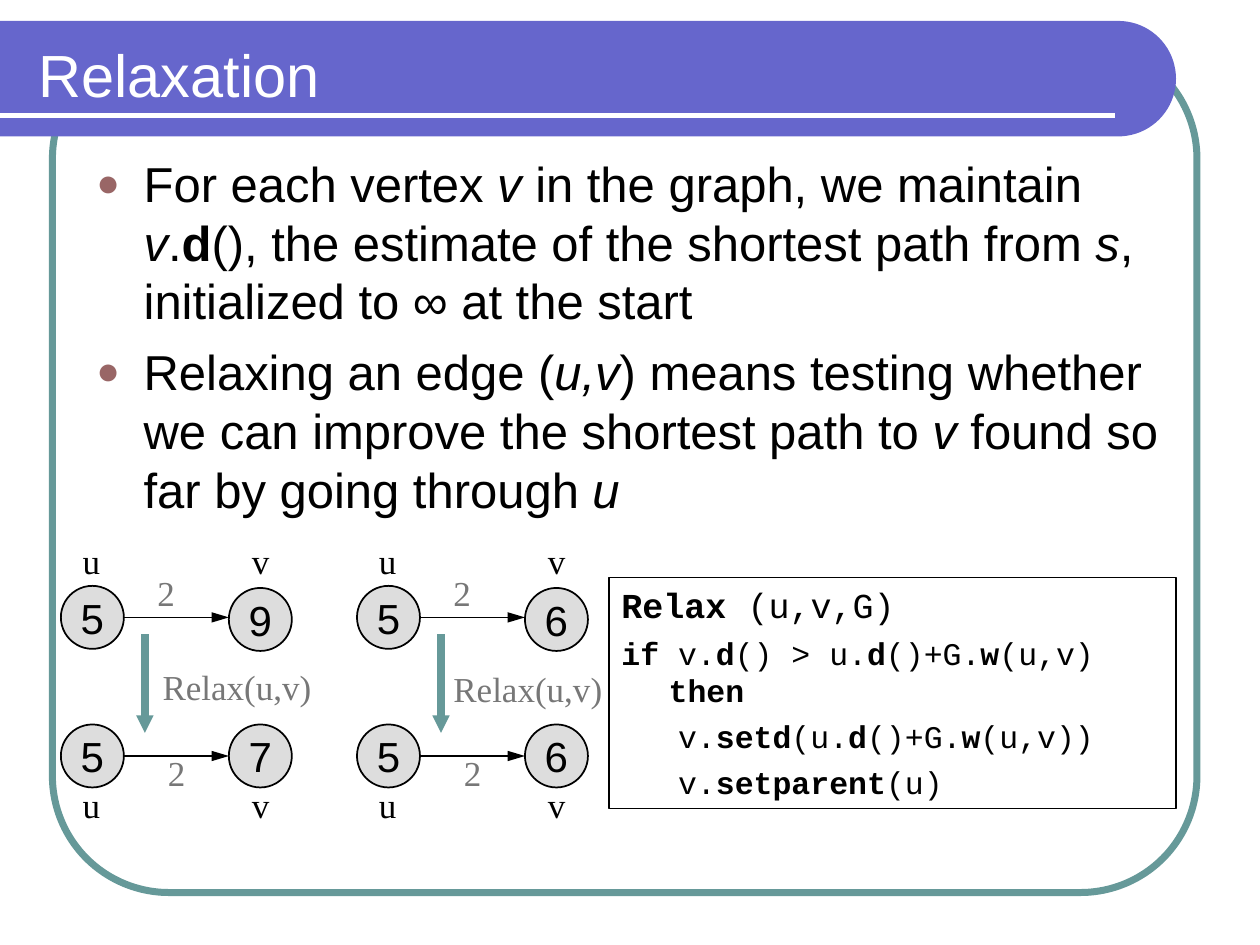
from math import cos, pi, sin

from lxml.etree import SubElement
from pptx import Presentation
from pptx.dml.color import RGBColor
from pptx.enum.shapes import MSO_CONNECTOR, MSO_SHAPE
from pptx.enum.text import MSO_ANCHOR, MSO_AUTO_SIZE, PP_ALIGN
from pptx.oxml.ns import qn
from pptx.util import Pt

PX = 7620  # 120 px to the inch
BLACK = RGBColor(0x00, 0x00, 0x00)
WHITE = RGBColor(0xFF, 0xFF, 0xFF)
GRAY = RGBColor(0x77, 0x77, 0x77)
NODE_FILL = RGBColor(0xDD, 0xDD, 0xDD)
TEAL = RGBColor(0x66, 0x99, 0x99)
PURPLE = RGBColor(0x66, 0x66, 0xCC)
BULLET = RGBColor(0x99, 0x66, 0x66)


def add_line(x1, y1, x2, y2, color, width, head=None):
    """Draw a straight line; head is the (width, length) of an arrowhead."""
    line = s.shapes.add_connector(
        MSO_CONNECTOR.STRAIGHT, x1 * PX, y1 * PX, x2 * PX, y2 * PX)
    line.line.color.rgb = color
    line.line.width = Pt(width)
    if head:
        SubElement(line.line._get_or_add_ln(), qn("a:tailEnd"),
                   type="triangle", w=head[0], len=head[1])
    SubElement(line._element.spPr, qn("a:effectLst"))


def add_text(p, runs, size, font, color):
    """Fill a paragraph with (text, style) runs, where style is "", "b" or "i"."""
    for text, style in runs:
        r = p.add_run()
        r.text = text
        r.font.size = Pt(size)
        r.font.name = font
        r.font.color.rgb = color
        r.font.bold = style == "b"
        r.font.italic = style == "i"


prs = Presentation()
prs.slide_width = 1200 * PX
prs.slide_height = 900 * PX
s = prs.slides.add_slide(prs.slide_layouts[5])

# Frame, banner and rule
frame = s.shapes.add_shape(
    MSO_SHAPE.ROUNDED_RECTANGLE, 50 * PX, 40 * PX, 1090 * PX, 810 * PX)
frame.adjustments[0] = 0.137
frame.shadow.inherit = False
frame.fill.background()
frame.line.color.rgb = TEAL
frame.line.width = Pt(4)

arc = [(1065 + 55 * sin(pi * i / 40), 75 - 55 * cos(pi * i / 40))
       for i in range(41)]
outline = s.shapes.build_freeform(0, 20 * PX, scale=1.0)
outline.add_line_segments(
    [(round(x * PX), round(y * PX)) for x, y in arc + [(0, 130)]], close=True)
banner = outline.convert_to_shape()
banner.shadow.inherit = False
banner.fill.solid()
banner.fill.fore_color.rgb = PURPLE
banner.line.fill.background()

add_line(0, 110, 1062, 110, WHITE, 3)

# Title, brought in front of the banner
title = s.shapes.title
s.shapes._spTree.append(title._element)
title.left, title.top, title.width, title.height = (
    25 * PX, 30 * PX, 1052 * PX, 80 * PX)
tf = title.text_frame
tf.auto_size = MSO_AUTO_SIZE.NONE
tf.vertical_anchor = MSO_ANCHOR.MIDDLE
tf.paragraphs[0].alignment = PP_ALIGN.LEFT
add_text(tf.paragraphs[0], [("Relaxation", "")], 34, "Arial", WHITE)

# Bulleted explanation
bullets = [
    [("For each vertex ", ""), ("v ", "i"), ("in the graph, we maintain ", ""),
     ("v", "i"), (".", ""), ("d", "b"),
     ("(), the estimate of the shortest path from ", ""), ("s", "i"),
     (", initialized to ∞ at the start", "")],
    [("Relaxing an edge (", ""), ("u,v", "i"),
     (") means testing whether we can improve the shortest path to ", ""),
     ("v", "i"), (" found so far by going through ", ""), ("u", "i")],
]
body = s.shapes.add_textbox(80 * PX, 140 * PX, 1040 * PX, 402 * PX)
tf = body.text_frame
tf.word_wrap = True
for i, runs in enumerate(bullets):
    p = tf.add_paragraph() if i else tf.paragraphs[0]
    pPr = p._p.get_or_add_pPr()
    pPr.set("marL", str(45 * PX))
    pPr.set("indent", str(-45 * PX))
    SubElement(SubElement(pPr, qn("a:buClr")), qn("a:srgbClr"),
               val=str(BULLET))
    SubElement(pPr, qn("a:buSzPct"), val="80000")
    SubElement(pPr, qn("a:buFont"), typeface="Arial")
    SubElement(pPr, qn("a:buChar"), char="●")
    if i:
        p.space_before = Pt(7)
    add_text(p, runs, 28, "Arial", BLACK)

# Two examples: v before and after relaxing the edge (u,v)
examples = [
    # left, v before, v after, caption x, caption y
    (58, "9", "7", 143, 628),
    (340, "6", "6", 420, 630),
]
for x, before, after, caption_x, caption_y in examples:
    for node_x, node_y, value in [(x, 558, "5"), (x + 160, 560, before),
                                  (x, 690, "5"), (x + 160, 690, after)]:
        node = s.shapes.add_shape(
            MSO_SHAPE.OVAL, node_x * PX, node_y * PX, 60 * PX, 60 * PX)
        node.shadow.inherit = False
        node.fill.solid()
        node.fill.fore_color.rgb = NODE_FILL
        node.line.color.rgb = BLACK
        node.line.width = Pt(1)
        tf = node.text_frame
        tf.word_wrap = False
        tf.vertical_anchor = MSO_ANCHOR.MIDDLE
        tf.paragraphs[0].alignment = PP_ALIGN.CENTER
        add_text(tf.paragraphs[0], [(value, "")], 24, "Arial", BLACK)

    for y in (588, 720):
        add_line(x + 60, y, x + 160, y, BLACK, 1, ("med", "lg"))
    add_line(x + 80, 604, x + 80, 698, TEAL, 5, ("sm", "sm"))

    labels = [(x + dx, y, 40, name, BLACK)
              for y in (508, 740) for dx, name in ((9, "u"), (170, "v"))]
    labels += [(x + 80, 538, 60, "2", GRAY), (x + 90, 710, 40, "2", GRAY),
               (caption_x, caption_y, 180, "Relax(u,v)", GRAY)]
    for left, top, width, text, color in labels:
        label = s.shapes.add_textbox(left * PX, top * PX, width * PX, 53 * PX)
        tf = label.text_frame
        tf.word_wrap = True
        add_text(tf.paragraphs[0], [(text, "")], 20, "Times New Roman", color)

# Pseudocode
code = [
    [("Relax ", "b"), ("(u,v,G)", "")],
    [("if ", "b"), ("v.", ""), ("d", "b"), ("() > u.", ""), ("d", "b"),
     ("()+G.", ""), ("w", "b"), ("(u,v) ", ""), ("then", "b")],
    [("   v.", ""), ("setd", "b"), ("(u.", ""), ("d", "b"), ("()+G.", ""),
     ("w", "b"), ("(u,v))", "")],
    [("   v.", ""), ("setparent", "b"), ("(u)", "")],
]
box = s.shapes.add_shape(
    MSO_SHAPE.RECTANGLE, 580 * PX, 550 * PX, 540 * PX, 220 * PX)
box.shadow.inherit = False
box.fill.background()
box.line.color.rgb = BLACK
box.line.width = Pt(1)
tf = box.text_frame
tf.word_wrap = True
tf.vertical_anchor = MSO_ANCHOR.TOP
for i, runs in enumerate(code):
    p = tf.add_paragraph() if i else tf.paragraphs[0]
    p.alignment = PP_ALIGN.LEFT
    pPr = p._p.get_or_add_pPr()
    pPr.set("marL", str(45 * PX))
    pPr.set("indent", str(-45 * PX))
    if i:
        p.space_before = Pt(4.5)
    add_text(p, runs, 18 if i else 20, "Courier New", BLACK)

prs.save("out.pptx")
